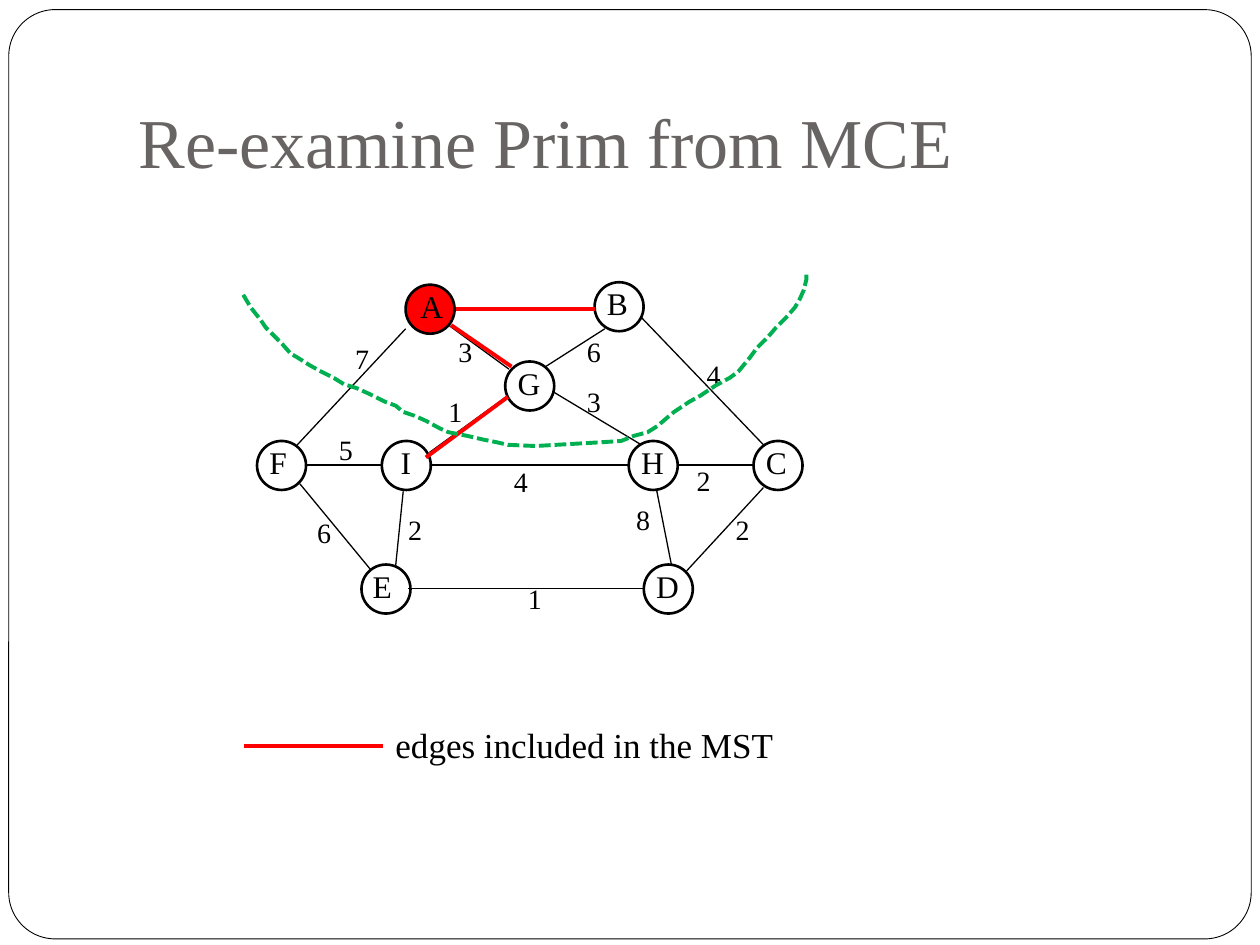
from typing import NamedTuple

from pptx import Presentation
from pptx.dml.color import RGBColor
from pptx.enum.dml import MSO_LINE
from pptx.enum.shapes import MSO_CONNECTOR as LINK, MSO_SHAPE as SHAPE
from pptx.enum.text import MSO_ANCHOR as ANCHOR, MSO_AUTO_SIZE as FIT, PP_ALIGN as ALIGN
from pptx.oxml.ns import qn
from pptx.util import Pt

FONT = "Times New Roman"
BLACK, WHITE, RED, GREEN, GREY = "000000", "FFFFFF", "FF0000", "00B050", "696464"
SIZE = 28


class Node(NamedTuple):
    name: str
    x: float
    y: float
    shift: float = 0
    fill: str | None = None


class Edge(NamedTuple):
    start: tuple[float, float]
    end: tuple[float, float]
    weight: str = ""
    spot: tuple[float, float] = (0, 0)


NODES = [
    Node("A", 231.8, 162.7, 1.4, RED),
    Node("B", 339.8, 161.3),
    Node("I", 218.2, 252, 3.6),
    Node("F", 146.9, 252),
    Node("G", 288.7, 206.6),
    Node("H", 359.3, 252),
    Node("C", 430.6, 252),
    Node("E", 206.6, 322.6, -0.7),
    Node("D", 367.9, 322.6),
]

EDGES = [
    Edge((259.2, 175.7), (339.8, 175.7)),
    Edge((233.3, 336.2), (368.6, 336.2), "1", (294.5, 329)),
    Edge((175.7, 265.7), (218.9, 265.7), "5", (186.5, 243.4)),
    Edge((246.2, 265.7), (358.6, 265.7), "4", (286.6, 262.1)),
    Edge((387.4, 265.7), (430.6, 265.7), "2", (391, 261.4)),
    Edge((245.5, 258.5), (290.2, 226.1), "1", (249.1, 221.8)),
    Edge((316.1, 223.9), (366.5, 254.2), "3", (328.3, 216)),
    Edge((231.8, 187.9), (169.9, 254.2), "7", (195.8, 191.5)),
    Edge((366.5, 181.4), (436.3, 254.2), "4", (396.7, 200.9)),
    Edge((171.4, 276.5), (211.7, 325.4), "6", (174.2, 290.9)),
    Edge((436.3, 278.6), (392.4, 326.2), "2", (413.3, 289.4)),
    Edge((230.4, 280.8), (226.1, 323.3), "2", (226.1, 289.4)),
    Edge((375.1, 279.4), (383.8, 323.3), "8", (356.4, 283.7)),
    Edge((256.3, 185.8), (290.9, 211), "3", (254.9, 187.9)),
    Edge((345.6, 187.9), (311.8, 209.5), "6", (328.3, 187.9)),
]

TREE = [
    Edge((260.6, 176.4), (339.8, 176.4)),
    Edge((257.8, 185.8), (292.3, 209.5)),
    Edge((290.2, 226.8), (243.4, 261.4)),
]
KEY = Edge((139.7, 426.2), (218.9, 426.2))

CUT = [
    (139, 168.5), (143.3, 175.7), (149, 182.9), (151.9, 187.2), (158.4, 193.7),
    (161.3, 196.6), (166.3, 202.3), (169.2, 203.8), (177.1, 208.8), (183.6, 212.4),
    (190.8, 216), (196.6, 219.6), (203.8, 221.8), (211.7, 225.4), (220.3, 229.7),
    (226.1, 231.8), (230.4, 235.4), (236.9, 237.6), (243.4, 240.5), (251.3, 244.8),
    (256.3, 247), (267.1, 249.1), (276.5, 251.3), (283.7, 252.7), (290.2, 254.2),
    (306, 254.9), (344.2, 252.7), (355, 252), (362.2, 249.1), (370.1, 247),
    (375.8, 243.4), (380.9, 239), (385.2, 235.4), (393.8, 229.7), (400.3, 226.1),
    (409, 220.3), (416.9, 216), (421.9, 212.4), (428.4, 204.5), (432.7, 198.7),
    (438.5, 193), (443.5, 187.2), (449.3, 181.4), (454.3, 175.7), (457.2, 170.6),
    (459.4, 165.6), (460.8, 159.8), (460.8, 157),
]


def tint(color: str) -> RGBColor:
    return RGBColor.from_string(color)


def style(shape, fill: str | None, line: str, width: float) -> None:
    shape.shadow.inherit = False
    if fill:
        shape.fill.solid()
        shape.fill.fore_color.rgb = tint(fill)
    else:
        shape.fill.background()
    shape.line.color.rgb = tint(line)
    shape.line.width = Pt(width)


def write(frame, text: str, size: float, color: str) -> None:
    frame.text = text
    frame.word_wrap = True
    font = frame.paragraphs[0].runs[0].font
    font.name, font.size = FONT, Pt(size)
    font.color.rgb = tint(color)


def add_label(slide, text: str, x: float, y: float, wide: float, high: float, size: float) -> None:
    box = slide.shapes.add_textbox(Pt(x), Pt(y), Pt(wide), Pt(high))
    write(box.text_frame, text, size, BLACK)
    box.text_frame.auto_size = FIT.SHAPE_TO_FIT_TEXT


def add_node(slide, node: Node) -> None:
    disc = slide.shapes.add_shape(SHAPE.OVAL, Pt(node.x), Pt(node.y), Pt(SIZE), Pt(SIZE))
    style(disc, node.fill, BLACK, 1.5)
    add_label(slide, node.name, node.x + node.shift, node.y - 2.3, 62.6, 29, 18)


def add_edge(slide, edge: Edge, color: str, width: float) -> None:
    ends = [Pt(value) for value in (*edge.start, *edge.end)]
    link = slide.shapes.add_connector(LINK.STRAIGHT, *ends)
    link.line.color.rgb = tint(color)
    link.line.width = Pt(width)
    props = link._element.spPr
    props.append(props.makeelement(qn("a:effectLst"), {}))


def add_cut(slide) -> None:
    first, *rest = [(Pt(x), Pt(y)) for x, y in CUT]
    path = slide.shapes.build_freeform(*first)
    path.add_line_segments(rest, close=False)
    curve = path.convert_to_shape()
    style(curve, None, GREEN, 2.25)
    curve.line.dash_style = MSO_LINE.SQUARE_DOT


def add_frame(slide) -> None:
    """Draw the rounded page border behind everything else."""
    panel = slide.shapes.add_shape(SHAPE.ROUNDED_RECTANGLE, Pt(5), Pt(5.5), Pt(710), Pt(531))
    panel.adjustments[0] = 0.05
    style(panel, WHITE, BLACK, 0.5)
    slide.shapes._spTree.insert(2, panel._element)


def set_title(slide) -> None:
    title = slide.shapes.title
    title.left, title.top, title.width, title.height = Pt(72), Pt(21.6), Pt(612), Pt(90)
    frame = title.text_frame
    write(frame, "Re-examine Prim from MCE", 40, GREY)
    frame.auto_size = FIT.NONE
    frame.vertical_anchor = ANCHOR.BOTTOM
    frame.margin_bottom = Pt(7.2)
    frame.paragraphs[0].alignment = ALIGN.LEFT


def main() -> None:
    deck = Presentation()
    deck.slide_width, deck.slide_height = Pt(720), Pt(540)
    slide = deck.slides.add_slide(deck.slide_layouts[5])
    add_frame(slide)
    set_title(slide)
    for node in NODES:
        add_node(slide, node)
    for edge in EDGES:
        add_edge(slide, edge, BLACK, 0.75)
    for edge in EDGES:
        if edge.weight:
            add_label(slide, edge.weight, *edge.spot, 39.6, 26.6, 16)
    for edge in [*TREE, KEY]:
        add_edge(slide, edge, RED, 2.25)
    add_label(slide, "edges included in the MST", 218.9, 409.7, 234, 31, 20)
    add_cut(slide)
    deck.save("out.pptx")


if __name__ == "__main__":
    main()
